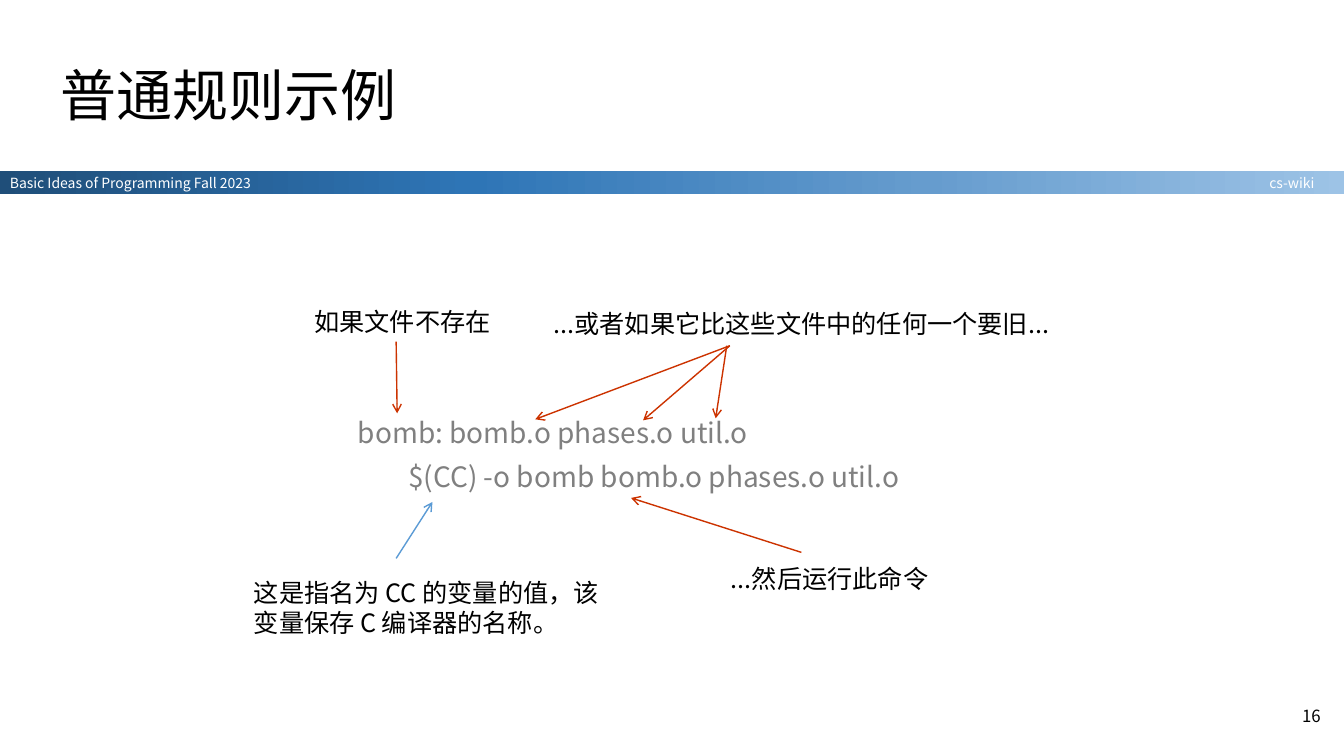
from lxml.etree import SubElement
from pptx import Presentation
from pptx.dml.color import RGBColor
from pptx.enum.shapes import MSO_CONNECTOR, MSO_SHAPE
from pptx.enum.text import MSO_ANCHOR, MSO_AUTO_SIZE, PP_ALIGN
from pptx.oxml.ns import qn
from pptx.util import Inches, Pt

CELL = Inches(0.1)
COLUMNS, ROWS = 133.33, 75
FONT = "Noto Sans CJK SC"
BLACK = RGBColor(0x00, 0x00, 0x00)
WHITE = RGBColor(0xFF, 0xFF, 0xFF)
GRAY = RGBColor(0x80, 0x80, 0x80)
RED = RGBColor(0xCC, 0x33, 0x00)
BLUE = RGBColor(0x5B, 0x9B, 0xD5)
BAND_STOPS = [
    (0, RGBColor(0x9D, 0xC3, 0xE6)),
    (31, RGBColor(0x66, 0x9C, 0xCE)),
    (65, RGBColor(0x2E, 0x75, 0xB6)),
    (100, RGBColor(0x1F, 0x4E, 0x79)),
]


def cells(*counts):
    return [round(count * CELL) for count in counts]


def place(shape, box):
    shape.left, shape.top, shape.width, shape.height = cells(*box)


def write(paragraph, text, size=18, color=BLACK, align=PP_ALIGN.LEFT, spacing=None, before=None):
    paragraph.alignment = align
    paragraph.line_spacing = spacing
    paragraph.space_before = before
    run = paragraph.add_run()
    run.text = text
    run.font.size = Pt(size)
    run.font.name = FONT
    run.font.color.rgb = color
    SubElement(run._r.get_or_add_rPr(), qn("a:ea"), typeface=FONT)


def add_label(slide, text, box, **text_format):
    shape = slide.shapes.add_textbox(*cells(*box))
    shape.text_frame.word_wrap = True
    write(shape.text_frame.paragraphs[0], text, **text_format)


def add_arrow(slide, start, end, color=RED):
    connector = slide.shapes.add_connector(MSO_CONNECTOR.STRAIGHT, *cells(*start, *end))
    connector.line.color.rgb = color
    connector.line.width = Pt(1)
    SubElement(connector.line._get_or_add_ln(), qn("a:tailEnd"), type="arrow")
    SubElement(connector._element.spPr, qn("a:effectLst"))


def fill_gradient(shape, stops):
    shape.fill.gradient()
    shape.fill.gradient_angle = 180
    stop_list = shape._element.spPr.find(qn("a:gradFill")).find(qn("a:gsLst"))
    for stop in list(stop_list):
        stop_list.remove(stop)
    for percent, color in stops:
        stop = SubElement(stop_list, qn("a:gs"), pos=str(percent * 1000))
        SubElement(stop, qn("a:srgbClr"), val=str(color))


def add_band(slide, box):
    band = slide.shapes.add_shape(MSO_SHAPE.RECTANGLE, *cells(*box))
    band.shadow.inherit = False
    band.line.fill.background()
    fill_gradient(band, BAND_STOPS)
    frame = band.text_frame
    frame.vertical_anchor = MSO_ANCHOR.MIDDLE
    frame.margin_top = frame.margin_bottom = 0
    paragraph = frame.paragraphs[0]
    tabs = SubElement(paragraph._p.get_or_add_pPr(), qn("a:tabLst"))
    SubElement(tabs, qn("a:tab"), pos=str(cells(box[2] - 3.9)[0]), algn="r")
    write(paragraph, "Basic Ideas of Programming Fall 2023\tcs-wiki", size=10, color=WHITE)


def add_title(slide, box):
    title = slide.shapes.title
    place(title, box)
    title.text_frame.auto_size = MSO_AUTO_SIZE.NONE
    title.text_frame.vertical_anchor = MSO_ANCHOR.BOTTOM
    write(title.text_frame.paragraphs[0], "普通规则示例", size=40, spacing=0.9)


def add_code(slide, box):
    body = slide.placeholders[1]
    place(body, box)
    frame = body.text_frame
    frame.auto_size = MSO_AUTO_SIZE.NONE
    lines = [("bomb: bomb.o phases.o util.o", 0), ("$(CC) -o bomb bomb.o phases.o util.o", 5)]
    for index, (text, indent) in enumerate(lines):
        paragraph = frame.add_paragraph() if index else frame.paragraphs[0]
        properties = paragraph._p.get_or_add_pPr()
        properties.set("marL", "0")
        properties.set("indent", str(cells(indent)[0]))
        SubElement(properties, qn("a:buNone"))
        write(paragraph, text, size=20, color=GRAY, spacing=0.9, before=Pt(10 if index else 0))


def add_rule_diagram(slide, box):
    left, top, width, height = box

    def point(column, row):
        return left + column, top + row

    add_code(slide, (*point(10.5, 12.1), 64.2, 18.2))
    add_label(slide, "如果文件不存在", (*point(6.2, 0.9), 27.5, 4))
    add_label(slide, "...或者如果它比这些文件中的任何一个要旧...",
              (*point(29.1, 1.1), 52.8, 3.9), align=PP_ALIGN.CENTER)
    add_label(slide, "...然后运行此命令",
              (*point(31.9, 26.4), 52.8, 3.9), align=PP_ALIGN.CENTER)
    add_label(slide, "这是指名为 CC 的变量的值，该变量保存 C 编译器的名称。",
              (*point(0.2, 27.8), 36.3, 8.6))
    add_arrow(slide, point(15.3, 4.9), point(15.4, 12))
    for start, end in [(48.4, (29.1, 12.6)), (48.4, (39.8, 12.7)), (48.1, (47, 12.5))]:
        add_arrow(slide, point(start, 5.3), point(*end))
    add_arrow(slide, point(55.5, 25.8), point(38.6, 20.4))
    add_arrow(slide, point(15.3, 26.4), point(18.9, 20.8), color=BLUE)


def main():
    presentation = Presentation()
    presentation.slide_width, presentation.slide_height = cells(COLUMNS, ROWS)
    slide = presentation.slides.add_slide(presentation.slide_layouts[1])
    add_band(slide, (0, 17, COLUMNS, 2.2))
    add_label(slide, "16", (128.2, 69.5, 4.1, 5), size=12)
    add_title(slide, (5, 4.4, 80.1, 8.9))
    add_rule_diagram(slide, (24, 29, 85, 37))
    presentation.save("out.pptx")


if __name__ == "__main__":
    main()
